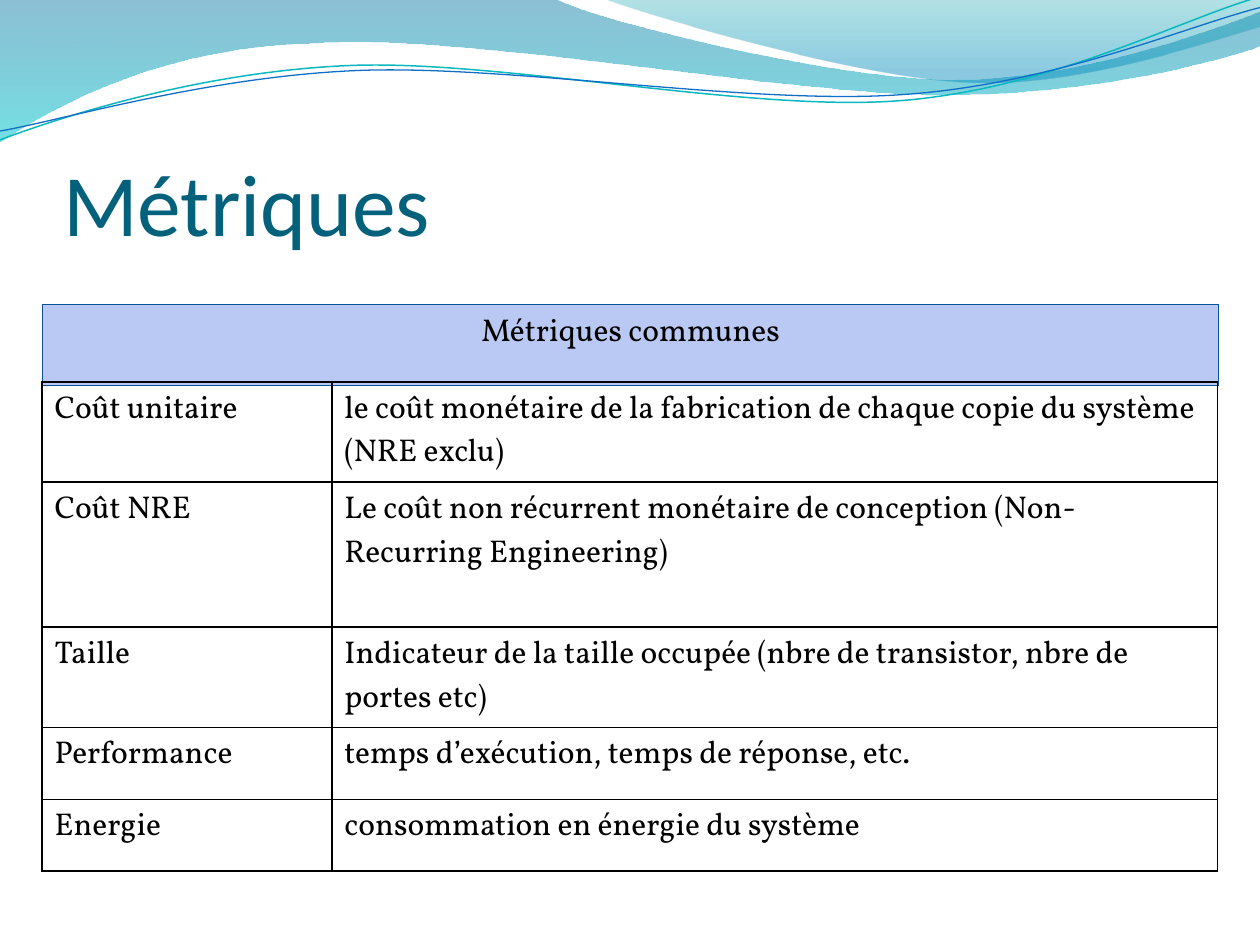
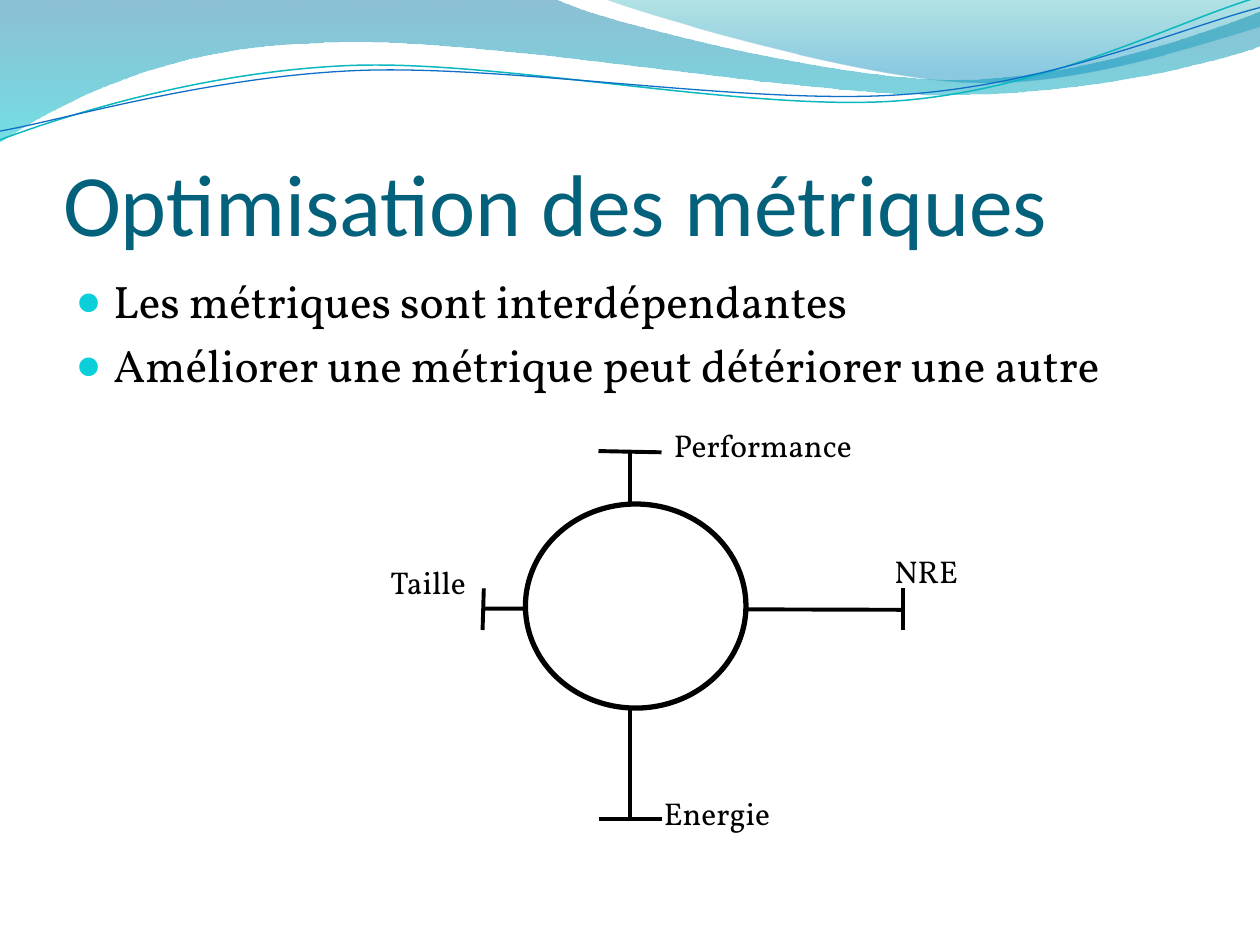
from math import cos, radians, sin

from lxml import etree
from pptx import Presentation
from pptx.dml.color import RGBColor
from pptx.enum.shapes import MSO_CONNECTOR, MSO_SHAPE
from pptx.enum.text import MSO_ANCHOR, MSO_AUTO_SIZE, PP_ALIGN
from pptx.oxml.ns import qn
from pptx.util import Inches, Pt

STRAIGHT = MSO_CONNECTOR.STRAIGHT
OVAL = MSO_SHAPE.OVAL
BOTTOM = MSO_ANCHOR.BOTTOM
NO_FIT, GROW = MSO_AUTO_SIZE.NONE, MSO_AUTO_SIZE.SHAPE_TO_FIT_TEXT
LEFT, CENTER = PP_ALIGN.LEFT, PP_ALIGN.CENTER

BLACK = RGBColor(0x00, 0x00, 0x00)
WHITE = RGBColor(0xFF, 0xFF, 0xFF)
TITLE_TEAL = RGBColor(0x04, 0x61, 0x7B)
BULLET_CYAN = RGBColor(0x0B, 0xD0, 0xD9)
HEADER_FILL = RGBColor(0xBA, 0xC9, 0xF3)
HEADER_EDGE = RGBColor(0x09, 0x52, 0x95)
WAVE_BLUE = RGBColor(0x00, 0x74, 0xA1)
WAVE_CYAN = RGBColor(0x00, 0xC6, 0xCF)
CREST_GREEN = RGBColor(0x00, 0xA1, 0xA9)
CREST_BLUE = RGBColor(0x00, 0x8B, 0xBF)
THREAD_CYAN = RGBColor(0x0A, 0xB8, 0xBF)
THREAD_BLUE = RGBColor(0x0F, 0x6F, 0xC6)
TITLE_FONT, TEXT_FONT = "Calibri", "Vollkorn"

WAVES = [
    ((0, 0),
     [[(4.4, -0.01)],
      [(4.76, 0.17), (6.64, 0.63), (7.58, 0.63)],
      [(8.53, 0.63), (9.58, 0.26), (10, 0.09)],
      [(10.01, 0.36)],
      [(9.83, 0.44), (8.7, 0.76), (7.46, 0.75)],
      [(6.22, 0.75), (3.82, 0.28), (2.57, 0.34)],
      [(1.29, 0.36), (0.46, 0.83), (-0.01, 1.13)],
      [(0, 0)]],
     [(0, WAVE_BLUE, 45), (1, WAVE_CYAN, 55)]),
    ((4.79, -0.01),
     [[(5.09, 0.11), (6.82, 0.62), (7.69, 0.65)],
      [(8.56, 0.69), (9.61, 0.32), (10, 0.21)],
      [(10, 0)],
      [(4.79, -0.01)]],
     [(0, CREST_GREEN, 30), (0.8, CREST_BLUE, 45)]),
]
THREADS = [
    ((0, 1.11),
     [[(0.48, 0.93), (1.58, 0.57), (2.77, 0.52)],
      [(3.95, 0.47), (5.93, 0.89), (7.13, 0.8)],
      [(8.33, 0.71), (9.38, 0.15), (9.98, -0.02)]],
     THREAD_CYAN, 0.85),
    ((0, 1.04),
     [[(0.47, 0.96), (1.64, 0.61), (2.83, 0.56)],
      [(4.03, 0.51), (5.97, 0.84), (7.17, 0.75)],
      [(8.36, 0.67), (9.41, 0.21), (10, 0.06)]],
     THREAD_BLUE, 0.75),
]
THREAD_TILT = 2.7
THREAD_CENTER = (4.99, 0.58)

METRICS_TITLE = "Métriques"
HEADER_ROWS = [["Métriques communes"]]
METRIC_ROWS = [
    ["Coût unitaire", "le coût monétaire de la fabrication de chaque copie du système (NRE exclu)"],
    ["Coût NRE", "Le coût non récurrent monétaire de conception (Non-Recurring Engineering)"],
    ["Taille", "Indicateur de la taille occupée (nbre de transistor, nbre de portes etc)"],
    ["Performance", "temps d’exécution, temps de réponse, etc."],
    ["Energie", "consommation en énergie du système"],
]
METRIC_HEIGHTS = [0.79, 1.15, 0.79, 0.57, 0.57]

BALANCE_TITLE = "Optimisation des métriques"
BALANCE_POINTS = [
    "Les métriques sont interdépendantes",
    "Améliorer une métrique peut détériorer une autre",
]
LEVER_AXIS = ((3.83, 4.83), (7.17, 4.84))
UPRIGHT_AXIS = ((5, 3.58), (5, 6.5))
CAPS = [
    ((4.75, 3.58), (5.25, 3.59)),
    ((4.75, 6.5), (5.25, 6.5)),
    ((3.84, 4.67), (3.83, 5)),
    ((7.17, 4.67), (7.17, 5)),
]
AXIS_LABELS = [
    ("Performance", 5.25, 3.33, 1.92),
    ("Energie", 5.17, 6.25, 1.5),
    ("Taille", 3, 4.42, 0.92),
    ("NRE", 7, 4.33, 1),
]


def style_font(font, name, size, color):
    font.name = name
    font.size = Pt(size)
    font.color.rgb = color


def place(shape, left, top, width, height):
    shape.left, shape.top = Inches(left), Inches(top)
    shape.width, shape.height = Inches(width), Inches(height)


def tilt(point):
    angle = radians(THREAD_TILT)
    x, y = (value - middle for value, middle in zip(point, THREAD_CENTER))
    return (THREAD_CENTER[0] + x * cos(angle) - y * sin(angle),
            THREAD_CENTER[1] + x * sin(angle) + y * cos(angle))


def add_outline(page, start, segments, close):
    builder = page.shapes.build_freeform(Inches(start[0]), Inches(start[1]))
    builder.add_line_segments([(Inches(x), Inches(y)) for segment in segments
                               for x, y in segment], close=close)
    shape = builder.convert_to_shape()
    shape.shadow.inherit = False
    nodes = iter(list(shape.element.iter(qn("a:lnTo"))))
    for segment in segments:
        first, *others = [next(nodes) for _ in segment]
        if others:
            curve = etree.Element(qn("a:cubicBezTo"))
            first.addprevious(curve)
            for node in (first, *others):
                curve.append(node[0])
                node.getparent().remove(node)
    return shape


def add_wave(page, start, segments, stops):
    shape = add_outline(page, start, segments, True)
    shape.line.fill.background()
    shape.fill.gradient()
    shape.fill.gradient_angle = 270
    for stop, (position, color, _) in zip(shape.fill.gradient_stops, stops):
        stop.position = position
        stop.color.rgb = color
    colors = shape.element.spPr.iter(qn("a:srgbClr"))
    for color_node, (_, _, opacity) in zip(list(colors), stops):
        etree.SubElement(color_node, qn("a:alpha"), val=str(opacity * 1000))
    return shape


def add_thread(page, start, segments, color, width):
    tilted = [[tilt(point) for point in segment] for segment in segments]
    shape = add_outline(page, tilt(start), tilted, False)
    shape.rotation = 360 - THREAD_TILT
    shape.fill.background()
    shape.line.color.rgb = color
    shape.line.width = Pt(width)
    return shape


def move_band_to_master(deck, page):
    band = [add_wave(page, *wave) for wave in WAVES]
    band += [add_thread(page, *thread) for thread in THREADS]
    for index, shape in enumerate(band):
        deck.slide_master.shapes.element.insert(2 + index, shape.element)


def set_title(page, text):
    title = page.shapes.title
    place(title, 0.5, 0.77, 9, 1.25)
    frame = title.text_frame
    frame.text = text
    frame.auto_size = NO_FIT
    frame.vertical_anchor = BOTTOM
    frame.margin_left = frame.margin_right = frame.margin_bottom = 0
    paragraph = frame.paragraphs[0]
    paragraph.alignment = LEFT
    style_font(paragraph.font, TITLE_FONT, 50, TITLE_TEAL)


def set_borders(cell, color, width):
    properties = cell._tc.get_or_add_tcPr()
    for side in ("lnL", "lnR", "lnT", "lnB"):
        line = etree.SubElement(properties, qn(f"a:{side}"), w=str(Pt(width)))
        fill = etree.SubElement(line, qn("a:solidFill"))
        etree.SubElement(fill, qn("a:srgbClr"), val=str(color))


def add_grid(page, left, top, widths, heights, rows, edge, edge_width, fill=None, alignment=LEFT):
    frame = page.shapes.add_table(len(rows), len(widths), Inches(left), Inches(top),
                                  Inches(sum(widths)), Inches(sum(heights)))
    table = frame.table
    table.first_row = table.horz_banding = False
    for column, width in zip(table.columns, widths):
        column.width = Inches(width)
    for row, height, texts in zip(table.rows, heights, rows):
        row.height = Inches(height)
        for cell, text in zip(row.cells, texts):
            cell.text = text
            set_borders(cell, edge, edge_width)
            if fill is None:
                cell.fill.background()
            else:
                cell.fill.solid()
                cell.fill.fore_color.rgb = fill
            paragraph = cell.text_frame.paragraphs[0]
            paragraph.alignment = alignment
            style_font(paragraph.font, TEXT_FONT, 18, BLACK)


def fill_bullets(body, points):
    place(body, 0.5, 2.12, 9, 4.8)
    frame = body.text_frame
    frame.text = "\n".join(points)
    frame.auto_size = NO_FIT
    for paragraph in frame.paragraphs:
        style_font(paragraph.font, TEXT_FONT, 26, BLACK)
        properties = paragraph._p.get_or_add_pPr()
        properties.set("marL", str(Inches(0.3)))
        properties.set("indent", str(-Inches(0.3)))
        bullet_color = etree.Element(qn("a:buClr"))
        etree.SubElement(bullet_color, qn("a:srgbClr"), val=str(BULLET_CYAN))
        bullet_size = etree.Element(qn("a:buSzPct"), val="95000")
        bullet = etree.Element(qn("a:buChar"), char="●")
        for index, node in enumerate((bullet_color, bullet_size, bullet)):
            properties.insert(index, node)


def add_line(page, start, end):
    line = page.shapes.add_connector(STRAIGHT, *(Inches(value) for value in (*start, *end)))
    line.line.color.rgb = BLACK
    line.line.width = Pt(2.25)
    etree.SubElement(line.element.spPr, qn("a:effectLst"))


def add_label(page, text, left, top, width):
    box = page.shapes.add_textbox(Inches(left), Inches(top), Inches(width), Inches(0.4))
    frame = box.text_frame
    frame.word_wrap = True
    frame.auto_size = GROW
    frame.text = text
    style_font(frame.paragraphs[0].font, TEXT_FONT, 18, BLACK)


def build_metrics(deck):
    page = deck.slides.add_slide(deck.slide_layouts[5])
    move_band_to_master(deck, page)
    set_title(page, METRICS_TITLE)
    add_grid(page, 0.34, 2.42, [9.33], [0.64], HEADER_ROWS, HEADER_EDGE, 0.75, HEADER_FILL, CENTER)
    add_grid(page, 1 / 3, 3.03, [2.3, 7.03], METRIC_HEIGHTS, METRIC_ROWS, BLACK, 1)


def build_balance(deck):
    page = deck.slides.add_slide(deck.slide_layouts[1])
    set_title(page, BALANCE_TITLE)
    fill_bullets(page.placeholders[1], BALANCE_POINTS)
    for axis in (LEVER_AXIS, UPRIGHT_AXIS):
        add_line(page, *axis)
    circle = page.shapes.add_shape(OVAL, Inches(4.17), Inches(4), Inches(1.75), Inches(1.62))
    circle.shadow.inherit = False
    circle.fill.solid()
    circle.fill.fore_color.rgb = WHITE
    circle.line.color.rgb = BLACK
    circle.line.width = Pt(3)
    for label in AXIS_LABELS:
        add_label(page, *label)
    for cap in CAPS:
        add_line(page, *cap)


def main():
    deck = Presentation()
    deck.slide_width, deck.slide_height = Inches(10), Inches(7.5)
    build_metrics(deck)
    build_balance(deck)
    deck.save("out.pptx")


if __name__ == "__main__":
    main()
